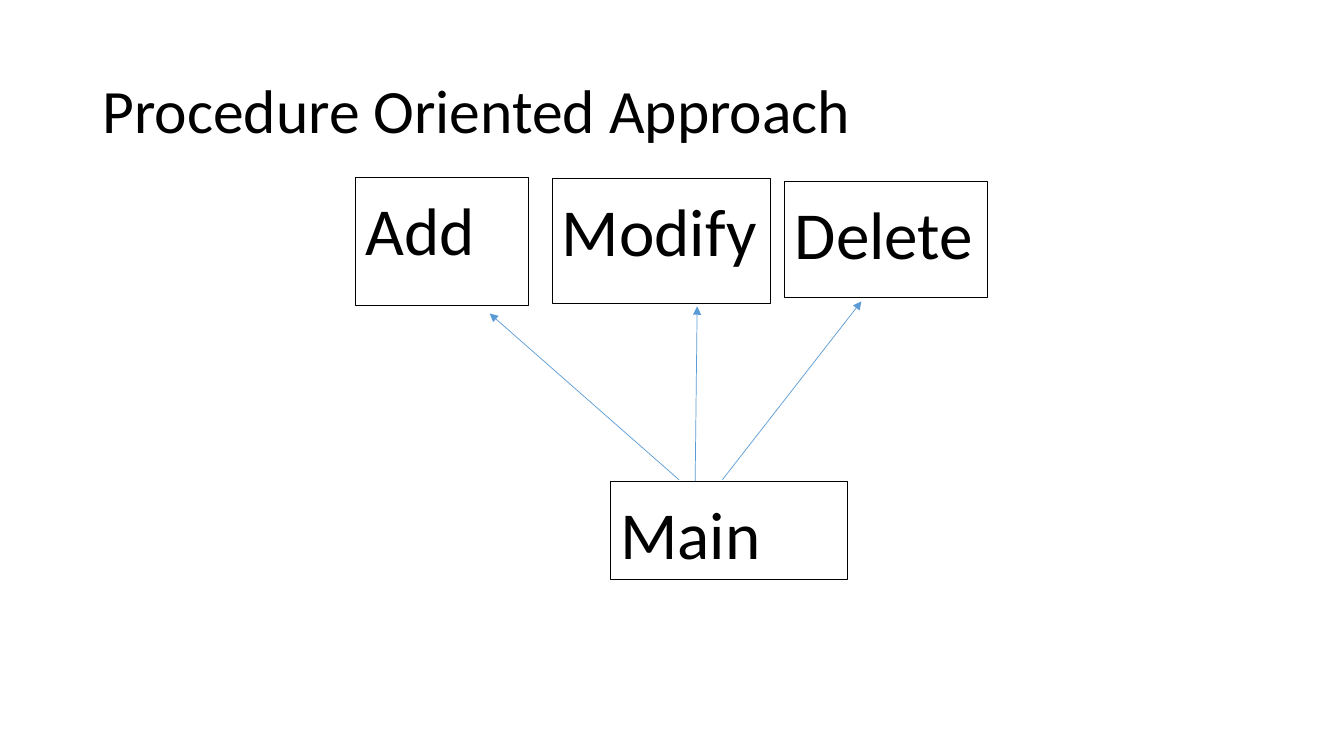
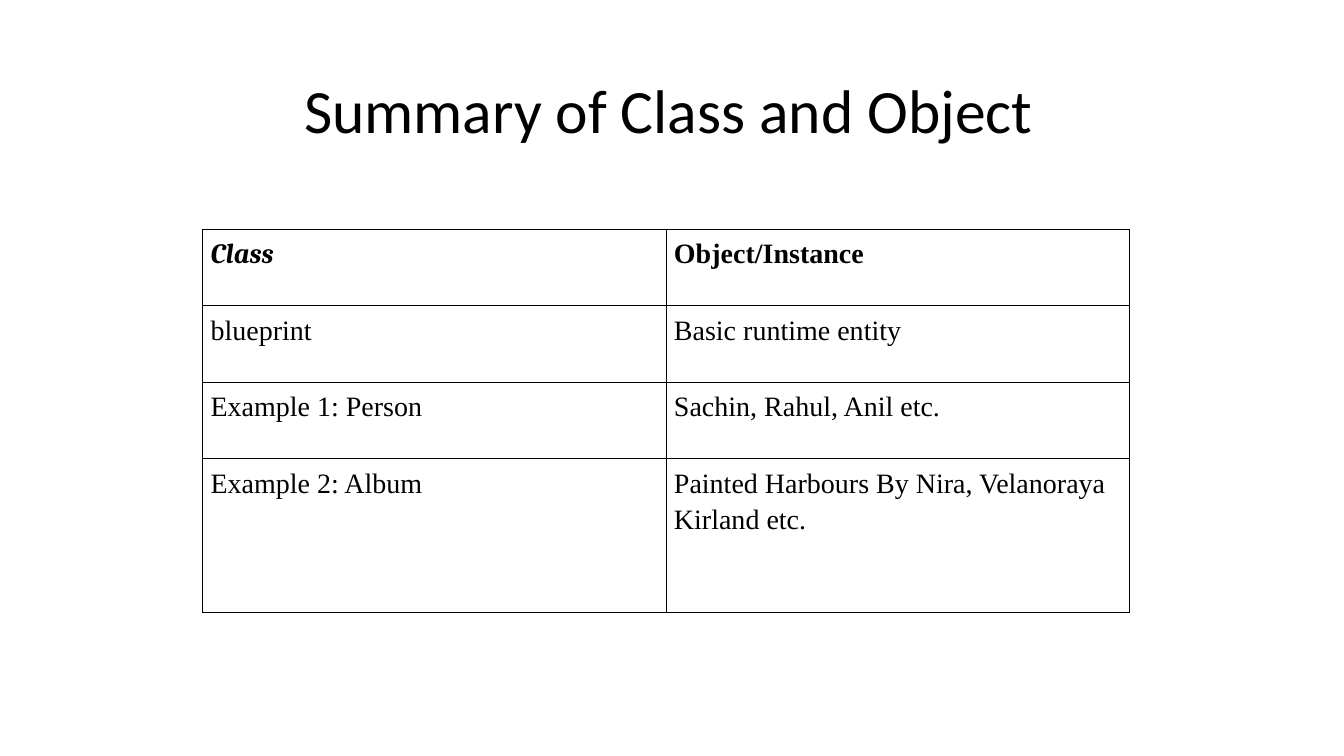
from dataclasses import dataclass

from lxml import etree
from pptx import Presentation
from pptx.dml.color import RGBColor
from pptx.enum.shapes import MSO_CONNECTOR, MSO_SHAPE
from pptx.enum.text import MSO_ANCHOR, PP_ALIGN
from pptx.oxml.ns import qn
from pptx.slide import Slide
from pptx.table import _Cell
from pptx.text.text import TextFrame
from pptx.util import Emu, Pt

RECTANGLE = MSO_SHAPE.RECTANGLE
STRAIGHT = MSO_CONNECTOR.STRAIGHT
TOP = MSO_ANCHOR.TOP
MIDDLE = MSO_ANCHOR.MIDDLE
LEFT = PP_ALIGN.LEFT
EMU_PER_PX = 9144
BORDER_TAGS = ("a:lnL", "a:lnR", "a:lnT", "a:lnB")


@dataclass(frozen=True)
class TextStyle:
    font: str
    size: int
    line_spacing: float
    space_after: int = 0
    bold: bool = False
    italic: bool = False


@dataclass(frozen=True)
class Theme:
    ink: str = "000000"
    paper: str = "FFFFFF"
    arrow: str = "5B9BD5"
    line_width: float = 0.5
    border_width: float = 0.45
    title: TextStyle = TextStyle("Calibri", 44, 0.9)
    box: TextStyle = TextStyle("Calibri", 48, 1.07, space_after=8)
    class_header: TextStyle = TextStyle("Cambria", 20, 1.15, bold=True, italic=True)
    object_header: TextStyle = TextStyle("Times New Roman", 20, 1.15, bold=True)
    body: TextStyle = TextStyle("Times New Roman", 20, 1.15)


@dataclass(frozen=True)
class Box:
    label: str
    left: int
    top: int
    width: int
    height: int


@dataclass(frozen=True)
class Arrow:
    start_x: int
    start_y: int
    end_x: int
    end_y: int


THEME = Theme()

BOXES = (
    Box("Add", 353, 176, 171, 127),
    Box("Modify", 548, 177, 217, 124),
    Box("Delete", 779, 180, 201, 115),
    Box("Main", 606, 478, 235, 97),
)
ARROWS = (
    Arrow(674, 476, 486, 311),
    Arrow(690, 477, 692, 304),
    Arrow(717, 476, 855, 299),
)
TABLE_ROWS = (
    ("Class", "Object/Instance"),
    ("blueprint", "Basic runtime entity"),
    ("Example 1: Person", "Sachin, Rahul, Anil etc."),
    ("Example 2: Album", "Painted Harbours By Nira, Velanoraya Kirland etc."),
)
ROW_HEIGHTS = (76, 76, 76, 152)
COLUMN_WIDTH = 460


def px(length: int) -> Emu:
    return Emu(length * EMU_PER_PX)


def color(value: str) -> RGBColor:
    return RGBColor.from_string(value)


def write_text(frame: TextFrame, text: str, style: TextStyle, indent: int = 0) -> None:
    frame.word_wrap = True
    paragraph = frame.paragraphs[0]
    paragraph.alignment = LEFT
    paragraph.line_spacing = style.line_spacing
    paragraph.space_after = Pt(style.space_after)
    if indent:
        paragraph._p.get_or_add_pPr().set("marL", str(px(indent)))
    run = paragraph.add_run()
    run.text = text
    run.font.name = style.font
    run.font.size = Pt(style.size)
    run.font.bold = style.bold
    run.font.italic = style.italic
    run.font.color.rgb = color(THEME.ink)


def add_slide(presentation: Presentation, title: str, indent: int = 0) -> Slide:
    slide = presentation.slides.add_slide(presentation.slide_layouts[6])
    frame = slide.shapes.add_textbox(px(92), px(40), px(1150), px(145)).text_frame
    frame.vertical_anchor = MIDDLE
    write_text(frame, title, THEME.title, indent)
    return slide


def add_box(slide: Slide, box: Box) -> None:
    shape = slide.shapes.add_shape(
        RECTANGLE, px(box.left), px(box.top), px(box.width), px(box.height)
    )
    shape.shadow.inherit = False
    shape.fill.solid()
    shape.fill.fore_color.rgb = color(THEME.paper)
    shape.line.color.rgb = color(THEME.ink)
    shape.line.width = Pt(THEME.line_width)
    shape.text_frame.vertical_anchor = TOP
    write_text(shape.text_frame, box.label, THEME.box)


def add_arrow(slide: Slide, arrow: Arrow) -> None:
    connector = slide.shapes.add_connector(
        STRAIGHT, px(arrow.start_x), px(arrow.start_y), px(arrow.end_x), px(arrow.end_y)
    )
    connector.line.color.rgb = color(THEME.arrow)
    connector.line.width = Pt(THEME.line_width)
    properties = connector._element.spPr
    etree.SubElement(properties.find(qn("a:ln")), qn("a:tailEnd"), type="triangle")
    etree.SubElement(properties, qn("a:effectLst"))


def format_cell(cell: _Cell) -> None:
    properties = cell._tc.get_or_add_tcPr()
    for tag in BORDER_TAGS:
        border = etree.SubElement(properties, qn(tag), w=str(Pt(THEME.border_width)))
        fill = etree.SubElement(border, qn("a:solidFill"))
        etree.SubElement(fill, qn("a:srgbClr"), val=THEME.ink)
    cell.fill.solid()
    cell.fill.fore_color.rgb = color(THEME.paper)
    cell.margin_left = cell.margin_right = px(8)
    cell.margin_top = cell.margin_bottom = px(5)


def add_summary_table(slide: Slide) -> None:
    header_styles = (THEME.class_header, THEME.object_header)
    column_count = len(header_styles)
    table = slide.shapes.add_table(
        len(TABLE_ROWS), column_count, px(201), px(227),
        px(COLUMN_WIDTH * column_count), px(sum(ROW_HEIGHTS)),
    ).table
    table.first_row = False
    table.horz_banding = False
    for column in table.columns:
        column.width = px(COLUMN_WIDTH)
    for row_index, (texts, height) in enumerate(zip(TABLE_ROWS, ROW_HEIGHTS)):
        table.rows[row_index].height = px(height)
        for column_index, text in enumerate(texts):
            cell = table.cell(row_index, column_index)
            format_cell(cell)
            style = THEME.body if row_index else header_styles[column_index]
            write_text(cell.text_frame, text, style)


def main() -> None:
    presentation = Presentation()
    presentation.slide_width = px(1334)
    presentation.slide_height = px(750)

    approach = add_slide(presentation, "Procedure Oriented Approach")
    for box in BOXES:
        add_box(approach, box)
    for arrow in ARROWS:
        add_arrow(approach, arrow)

    summary = add_slide(presentation, "Summary of Class and Object", indent=200)
    add_summary_table(summary)

    presentation.save("out.pptx")


if __name__ == "__main__":
    main()
